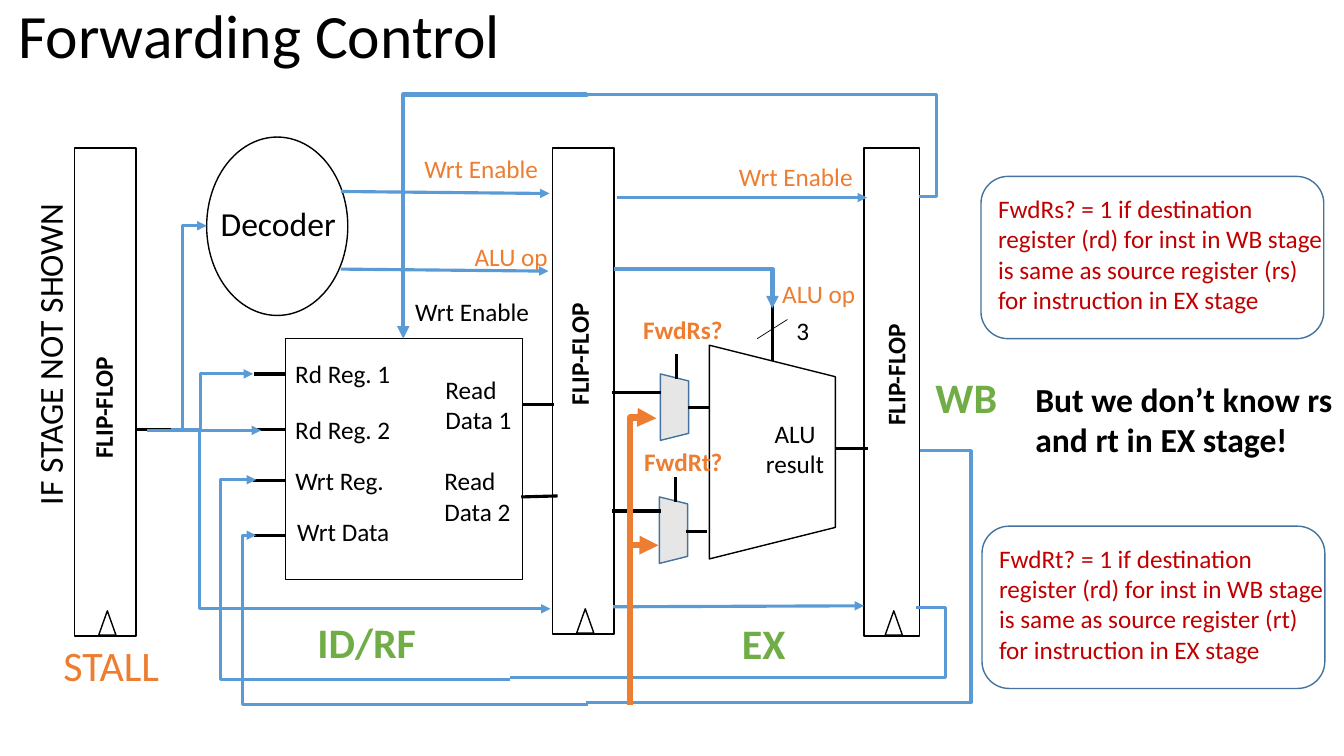
import pptx
import pptx.util
import pptx.dml.color
import pptx.enum.shapes
import pptx.enum.text
import pptx.oxml.ns
import pptx.oxml.xmlchemy

RGB = pptx.dml.color.RGBColor
BLACK = RGB(0x00, 0x00, 0x00)
BLUE = RGB(0x5B, 0x9B, 0xD5)
NAVY = RGB(0x43, 0x73, 0x9E)
ORANGE = RGB(0xED, 0x7D, 0x31)
GREEN = RGB(0x70, 0xAD, 0x47)
RED = RGB(0xC0, 0x00, 0x00)
GRAY = RGB(0xE7, 0xE6, 0xE6)
SHAPE = pptx.enum.shapes.MSO_SHAPE
CONNECTOR = pptx.enum.shapes.MSO_CONNECTOR
ALIGN = pptx.enum.text.PP_ALIGN
AUTO_SIZE = pptx.enum.text.MSO_AUTO_SIZE
FONT = "Calibri"
CM_PER_INCH = 2.54

TITLE = "Forwarding Control"
TITLE_BOX = (0.08, -0.34, 11.5, 1.45)

REGISTERS = [(0.74, 1.47, 0.61, 4.84), (5.48, 1.47, 0.61, 4.82), (8.57, 1.47, 0.55, 4.84)]
CLOCK = (0.17, 0.24)

BLOCKS = [
    (SHAPE.ROUNDED_RECTANGLE, (9.73, 1.75, 3.4, 1.61), 0, None, NAVY),
    (SHAPE.ROUNDED_RECTANGLE, (9.74, 5.22, 3.4, 1.61), 0, None, NAVY),
    (SHAPE.RECTANGLE, (2.83, 3.36, 2.35, 2.39), 0, None, BLACK),
    (SHAPE.TRAPEZOID, (6.6, 3.86, 2.12, 1.25), 90, None, BLACK),
    (SHAPE.OVAL, (2.05, 1.36, 1.4, 1.77), 0, None, BLACK),
    (SHAPE.TRAPEZOID, (6.36, 3.9, 0.66, 0.28), 90, GRAY, NAVY),
    (SHAPE.TRAPEZOID, (6.35, 5.12, 0.66, 0.28), 90, GRAY, NAVY),
]

WIRES = [
    (2.52, 3.71, 2.83, 3.71), (2.52, 4.26, 2.83, 4.26), (2.51, 4.77, 2.83, 4.77),
    (2.52, 5.31, 2.83, 5.31), (5.18, 4.01, 5.49, 4.01), (5.17, 4.93, 5.53, 4.92),
    (8.28, 4.45, 8.61, 4.45), (6.07, 3.89, 6.56, 3.89), (7.66, 3.02, 7.66, 3.58),
    (1.34, 4.26, 1.77, 4.26), (6.07, 5.07, 6.56, 5.07), (6.82, 4.04, 7.04, 4.04),
    (6.8, 5.27, 7.01, 5.27), (6.71, 3.76, 6.71, 3.51), (6.7, 4.98, 6.7, 4.73),
]
BUS_SLASH = (7.51, 3.36, 7.81, 3.17)
SIGNALS = [
    (1.99, 4.27, 2.59, 4.27), (3.38, 2.67, 5.44, 2.69), (3.38, 1.9, 5.45, 1.92),
    (6.12, 1.96, 8.6, 1.96), (6.08, 6.02, 8.57, 6.01),
]

ACROSS_ROUTES = [
    ((1.46, 4.27, 2.51, 3.71), 50, 2.25, True),
    ((9.09, 6.03, 5.06, 6.72), -7.1, 2.25, False),
    ((6.09, 2.67, 7.66, 3.06), 100.1, 3, True),
    ((9.13, 4.47, 5.81, 6.97), -15.1, 2.25, False),
    ((5.83, 6.99, 2.54, 5.31), 104, 2.25, True),
    ((9.12, 1.95, 5.8, 0.94), -5.2, 2.25, False),
    ((1.7, 4.26, 5.46, 6.04), 7.4, 2.25, True),
    ((5.06, 6.74, 2.54, 4.76), 114.1, 2.25, True),
]
UPRIGHT_ROUTES = [
    ((1.81, 4.27, 2.05, 2.24), None, 2.25, BLUE),
    ((5.82, 0.93, 4, 3.36), 0.3, 3, BLUE),
    ((6.25, 6.99, 6.53, 5.41), 100.1, 4.5, ORANGE),
    ((6.25, 5.43, 6.51, 4.15), 100.7, 4.5, ORANGE),
]

PORT = {"size": 18, "color": BLACK, "bold": False}
CONTROL = {"size": 18, "color": ORANGE, "bold": False}
FORWARD = {"size": 18, "color": ORANGE, "bold": True}
STAGE = {"size": 30, "color": GREEN, "bold": True}
STALL = {"size": 30, "color": ORANGE, "bold": False}
LARGE = {"size": 24, "color": BLACK, "bold": False}
REMARK = {"size": 24, "color": BLACK, "bold": True}
RULE = {"size": 18, "color": RED, "bold": False}
FLIP_FLOP = {"size": 18, "color": BLACK, "bold": True}

LABELS = [
    ("Rd Reg. 1", (2.83, 3.51, 1.16, 0.4), PORT),
    ("Rd Reg. 2", (2.83, 4.06, 1.16, 0.4), PORT),
    ("Wrt Reg.", (2.83, 4.57, 1.09, 0.4), PORT),
    ("Wrt Data", (2.85, 5.07, 1.13, 0.4), PORT),
    ("Read\nData 1", (4.32, 3.66, 0.86, 0.71), PORT),
    ("Read\nData 2", (4.31, 4.57, 0.86, 0.71), PORT),
    ("3", (7.8, 3.08, 0.33, 0.4), PORT),
    ("Wrt Enable", (4.02, 2.89, 1.34, 0.4), PORT),
    ("ALU op", (7.66, 2.71, 0.93, 0.4), CONTROL),
    ("ALU op", (4.61, 2.34, 0.93, 0.4), CONTROL),
    ("Wrt Enable", (4.11, 1.47, 1.34, 0.4), CONTROL),
    ("Wrt Enable", (7.23, 1.55, 1.34, 0.4), CONTROL),
    ("Decoder", (2.09, 1.96, 1.36, 0.5), LARGE),
    ("ID/RF", (3.05, 6.07, 1.19, 0.61), STAGE),
    ("EX", (7.26, 6.08, 0.64, 0.61), STAGE),
    ("WB", (9.18, 3.64, 0.82, 0.61), STAGE),
    ("STALL", (0.53, 6.3, 1.16, 0.61), STALL),
    ("FwdRs?", (6.28, 3.07, 1, 0.4), FORWARD),
    ("FwdRt?", (6.29, 4.38, 0.99, 0.4), FORWARD),
]
CENTERED_LABELS = [
    ("ALU\nresult", (7.49, 4.1, 0.79, 0.71), PORT, 0),
    ("FLIP-FLOP", (0.56, 3.69, 1.23, 0.71), FLIP_FLOP, 270),
    ("FLIP-FLOP", (5.28, 3.16, 1.23, 0.71), FLIP_FLOP, 270),
    ("FLIP-FLOP", (7.34, 3.54, 3.04, 0.36), FLIP_FLOP, 270),
]
HIDDEN_STAGE = ("IF STAGE NOT SHOWN", (-1.12, 3.25, 3.22, 0.5), LARGE, 270)
FORWARD_RULE = ("{} = 1 if destination register (rd) for inst in WB stage "
                "is same as source register ({}) for instruction in EX stage")
NOTES = [
    (FORWARD_RULE.format("FwdRs?", "rs"), (9.8, 1.87, 3.42, 1.31), RULE),
    (FORWARD_RULE.format("FwdRt?", "rt"), (9.81, 5.34, 3.42, 1.31), RULE),
    ("But we don’t know rs and rt in EX stage!", (10.17, 3.71, 3.24, 0.91), REMARK),
]


def lengths(values):
    return [pptx.util.Cm(value * CM_PER_INCH) for value in values]


def set_all(target, values):
    for name, value in values.items():
        setattr(target, name, value)


def add_element(parent, tag, **attributes):
    element = pptx.oxml.xmlchemy.OxmlElement(tag)
    for name, value in attributes.items():
        element.set(name, value)
    parent.append(element)


def add_block(slide, kind, box, rotation, fill, line):
    shape = slide.shapes.add_shape(kind, *lengths(box))
    shape.shadow.inherit = False
    shape.rotation = rotation
    if fill is None:
        shape.fill.background()
    else:
        shape.fill.solid()
        shape.fill.fore_color.rgb = fill
    shape.line.color.rgb = line
    shape.line.width = pptx.util.Pt(1)


def add_line(slide, ends, color, width, arrow, kind=CONNECTOR.STRAIGHT):
    connector = slide.shapes.add_connector(kind, *lengths(ends))
    connector.line.color.rgb = color
    connector.line.width = pptx.util.Pt(width)
    properties = connector._element.spPr
    if arrow:
        add_element(properties.find(pptx.oxml.ns.qn("a:ln")), "a:tailEnd", type="triangle")
    add_element(properties, "a:effectLst")
    return connector


def add_route(slide, ends, bend, color, width, arrow, upright=False):
    if upright:
        x1, y1, x2, y2 = ends
        middle_x, middle_y = (x1 + x2) / 2, (y1 + y2) / 2
        half_x, half_y = (x2 - x1) / 2, (y2 - y1) / 2
        ends = (middle_x - half_y, middle_y + half_x, middle_x + half_y, middle_y - half_x)
    connector = add_line(slide, ends, color, width, arrow, CONNECTOR.ELBOW)
    properties = connector._element.spPr
    if upright:
        properties.find(pptx.oxml.ns.qn("a:xfrm")).set("rot", "5400000")
    geometry = properties.find(pptx.oxml.ns.qn("a:prstGeom"))
    if bend is None:
        geometry.set("prst", "bentConnector2")
    else:
        guides = geometry.find(pptx.oxml.ns.qn("a:avLst"))
        add_element(guides, "a:gd", name="adj1", fmla=f"val {round(bend * 1000)}")


def add_label(slide, text, box, style, rotation=0, align=ALIGN.LEFT, wrap=False):
    shape = slide.shapes.add_textbox(*lengths(box))
    shape.rotation = rotation
    frame = shape.text_frame
    frame.text = text
    set_all(frame, {"word_wrap": wrap, "auto_size": AUTO_SIZE.SHAPE_TO_FIT_TEXT})
    for paragraph in frame.paragraphs:
        paragraph.alignment = align
        set_all(paragraph.font, {"name": FONT, "size": pptx.util.Pt(style["size"]),
                                 "bold": style["bold"]})
        paragraph.font.color.rgb = style["color"]


def add_title(slide):
    title = slide.shapes.title
    set_all(title, dict(zip(("left", "top", "width", "height"), lengths(TITLE_BOX))))
    title.text_frame.text = TITLE
    set_all(title.text_frame, {"vertical_anchor": pptx.enum.text.MSO_ANCHOR.MIDDLE,
                               "word_wrap": True, "auto_size": AUTO_SIZE.NONE})
    paragraph = title.text_frame.paragraphs[0]
    set_all(paragraph, {"alignment": ALIGN.LEFT, "line_spacing": 0.9})
    set_all(paragraph.font, {"name": FONT, "size": pptx.util.Pt(44)})
    paragraph.font.color.rgb = BLACK


def main():
    presentation = pptx.Presentation()
    presentation.slide_width, presentation.slide_height = lengths((13.33, 7.5))
    slide = presentation.slides.add_slide(presentation.slide_layouts[5])
    add_title(slide)
    for block in BLOCKS:
        add_block(slide, *block)
    for left, top, width, height in REGISTERS:
        add_block(slide, SHAPE.RECTANGLE, (left, top, width, height), 0, None, BLACK)
        clock_left = left + (width - CLOCK[0]) / 2 + 0.02
        clock_box = (clock_left, top + height - CLOCK[1] - 0.01, *CLOCK)
        add_block(slide, SHAPE.ISOSCELES_TRIANGLE, clock_box, 0, None, BLACK)
    for ends in WIRES:
        add_line(slide, ends, BLACK, 2.25, False)
    add_line(slide, BUS_SLASH, BLACK, 0.5, False)
    for ends in SIGNALS:
        add_line(slide, ends, BLUE, 2.25, True)
    for ends, bend, width, arrow in ACROSS_ROUTES:
        add_route(slide, ends, bend, BLUE, width, arrow)
    for ends, bend, width, color in UPRIGHT_ROUTES:
        add_route(slide, ends, bend, color, width, True, upright=True)
    for label in LABELS + [HIDDEN_STAGE]:
        add_label(slide, *label)
    for label in CENTERED_LABELS:
        add_label(slide, *label, align=ALIGN.CENTER)
    for note in NOTES:
        add_label(slide, *note, wrap=True)
    presentation.save("out.pptx")


if __name__ == "__main__":
    main()
